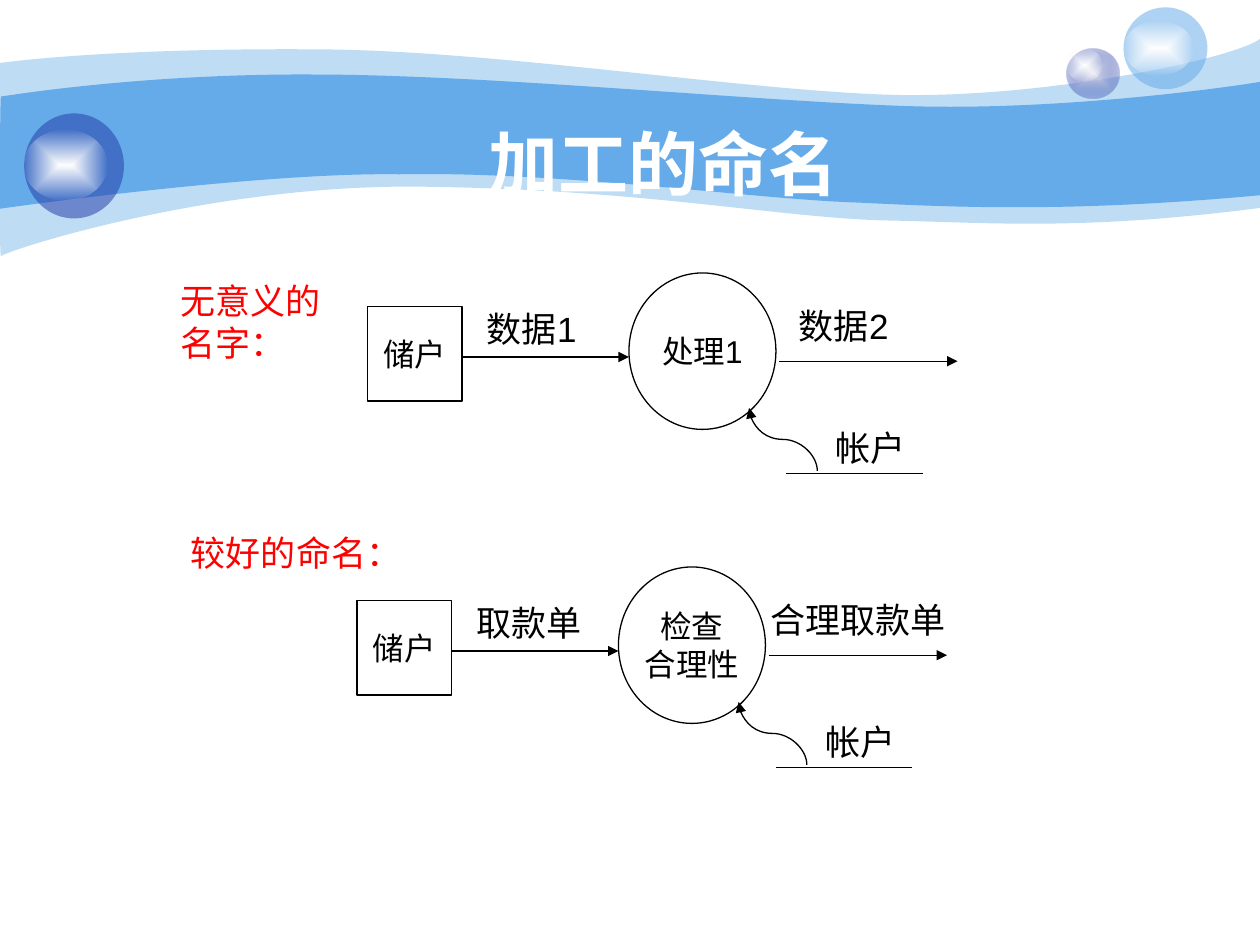
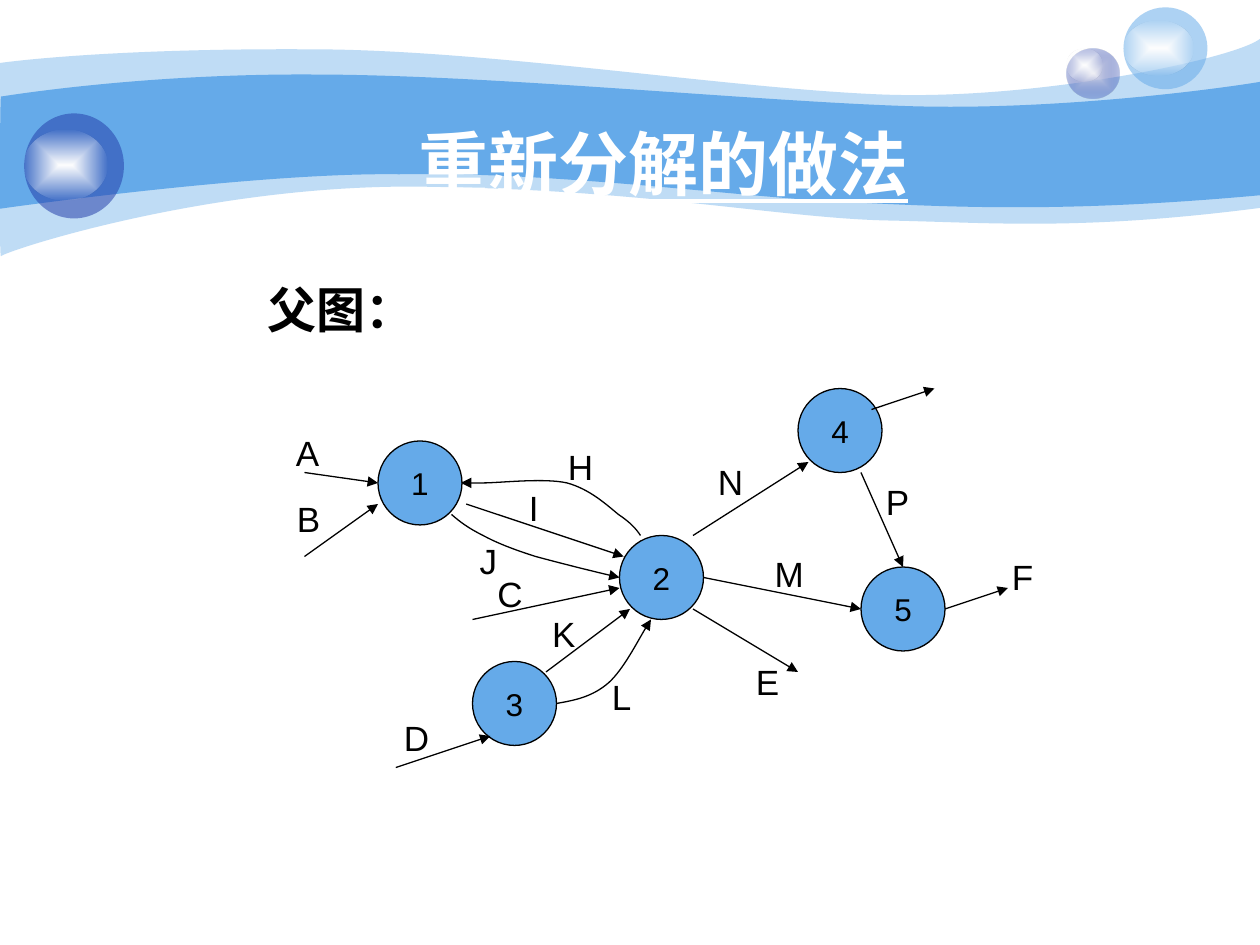
from dataclasses import dataclass

from lxml import etree
from pptx import Presentation
from pptx import util as u
from pptx.dml.color import RGBColor
from pptx.enum import shapes, text
from pptx.oxml import parse_xml
from pptx.oxml.ns import nsdecls, qn


@dataclass(frozen=True)
class Theme:
    """Colours, fonts and type sizes of both slides."""
    sky: str = "65AAE9"
    navy: str = "233DA9"
    mist: str = "E1E2ED"
    white: str = "FFFFFF"
    ink: str = "000000"
    alert: str = "FF0000"
    latin: str = "Arial"
    narrow: str = "Arial Narrow"
    cjk: str = "Noto Sans CJK SC"
    title: int = 40
    heading: int = 28
    label: int = 20
    node: int = 18
    stroke: float = 0.75


THEME = Theme()
COLUMNS, ROWS = 120, 90
SHAPE = shapes.MSO_SHAPE
CENTER = text.PP_ALIGN.CENTER

OUTER_BAND = [
    (0, 6),
    [(2.9, 5.6), (12.8, 4.6), (29.6, 4.7)],
    [(46.3, 4.7), (69, 8.4), (83.9, 9)],
    [(98.6, 9.6), (117.6, 5.6), (120, 3.7)],
    [(120, 19.8)],
    [(103, 22), (94.4, 21.2), (84.6, 21)],
    [(74.6, 20.8), (61.8, 18.1), (41.2, 17.8)],
    [(20.6, 17.3), (0.5, 23.9), (0.1, 24.4)],
    [(-0.1, 25), (0, 9), (0, 6)],
]
INNER_BAND = [
    (0.1, 9.2),
    [(0.2, 9.2), (13.2, 7), (29.8, 7.1)],
    [(46.3, 7.1), (71.4, 9.6), (86.2, 10.1)],
    [(100.9, 10.6), (117.1, 8.3), (120, 7.8)],
    [(120, 18.6)],
    [(102.4, 20.2), (91.8, 19.8), (81.8, 19.3)],
    [(71.9, 19), (53.6, 16.3), (38, 16.6)],
    [(24.4, 16.4), (-0.2, 19.9), (-0.1, 19.9)],
    [(0, 19.9), (0, 9.2), (0.1, 9.2)],
]
PROCESSES = {"1": (36, 42), "2": (59, 51), "3": (45, 63), "5": (82, 54), "4": (76, 37)}
STRAIGHT_FLOWS = [
    ((29, 45), (36, 46)), ((29, 53), (36, 48)), ((37.7, 73.1), (46.7, 70.1)),
    ((45, 59), (59, 56)), ((52, 64), (60, 58)), ((44.4, 48), (59.4, 53)),
    ((66, 51), (77, 44)), ((67, 55), (82, 58)), ((66, 58), (76, 64)),
    ((90, 58), (96, 56)), ((83, 39), (89, 37)), ((82, 45), (86, 54)),
]
CURVED_FLOWS = [
    [(61, 51), [(60.6, 50.4), (60.1, 49.8), (58.9, 49)],
     [(57.8, 48.1), (56.2, 46.6), (54, 46)],
     [(51.8, 45.5), (47.6, 46), (46, 46)],
     [(44.3, 46), (44.3, 46), (43.9, 46)]],
    [(43, 49), [(43.8, 49.7), (44.6, 50.3), (46, 51)],
     [(47.3, 51.7), (48.8, 52.3), (51, 53)],
     [(53.2, 53.6), (57.6, 54.7), (59, 55)]],
    [(53, 67), [(54.7, 66.7), (56.4, 66.4), (58, 65)],
     [(59.4, 63.7), (61.3, 60), (62, 59)]],
]
FLOW_NAMES = {
    "A": (27, 40.5), "B": (27.1, 46.8), "H": (52.9, 41.8), "J": (44.5, 50.8),
    "I": (49.2, 45.7), "C": (46.2, 53.9), "D": (37.3, 67.6), "K": (51.4, 57.7),
    "L": (57.1, 63.7), "N": (67.2, 43.3), "M": (72.6, 52), "P": (83.2, 45.2),
    "E": (70.8, 62.3), "F": (95.2, 52.3),
}


def cells(*counts):
    """Turn counts of grid cells into lengths."""
    return [u.Inches(count * 10 / COLUMNS) for count in counts]


def write(shape, lines, size, colour=THEME.ink, align=None, font=THEME.latin,
          bold=False, underline=False, wrap=True, middle=False):
    """Fill a shape with one paragraph per line."""
    frame = shape.text_frame
    frame.word_wrap = wrap
    frame.vertical_anchor = text.MSO_ANCHOR.MIDDLE if middle else text.MSO_ANCHOR.TOP
    for index, line in enumerate(lines):
        paragraph = frame.add_paragraph() if index else frame.paragraphs[0]
        paragraph.alignment = align
        run = paragraph.add_run()
        run.text = line
        run.font.size = u.Pt(size)
        run.font.name = font
        run.font.bold = bold
        run.font.underline = underline
        run.font.color.rgb = RGBColor.from_string(colour)
        etree.SubElement(run.font._element, qn("a:ea"), typeface=THEME.cjk)


def label(slide, box, words, size=THEME.label, **style):
    """Add a text box on the grid."""
    write(slide.shapes.add_textbox(*cells(*box)), [words], size, **style)


def paint(shape, colour, opacity=100):
    """Give a shape a flat fill without outline or shadow."""
    shape.shadow.inherit = False
    shape.line.fill.background()
    shape.fill.solid()
    shape.fill.fore_color.rgb = RGBColor.from_string(colour)
    if opacity < 100:
        tint = shape._element.spPr.find(qn("a:solidFill"))[0]
        etree.SubElement(tint, qn("a:alpha"), val=str(opacity * 1000))


def glow(shape, inner, outer, opacity):
    """Give a shape a fill that fades from its centre to its edge."""
    paint(shape, inner)
    flat = shape._element.spPr.find(qn("a:solidFill"))
    flat.getparent().replace(flat, parse_xml(
        f'<a:gradFill {nsdecls("a")} rotWithShape="1"><a:gsLst>'
        f'<a:gs pos="0"><a:srgbClr val="{inner}"/></a:gs>'
        f'<a:gs pos="100000"><a:srgbClr val="{outer}">'
        f'<a:alpha val="{opacity * 1000}"/></a:srgbClr></a:gs></a:gsLst>'
        '<a:path path="shape"><a:fillToRect l="50000" t="50000" r="50000" b="50000"/>'
        '</a:path></a:gradFill>'))


def stroke(shape, arrow=False):
    """Draw the thin dark line, with an arrowhead at its end if asked."""
    shape.line.width = u.Pt(THEME.stroke)
    shape.line.color.rgb = RGBColor.from_string(THEME.ink)
    if arrow:
        outline = shape._element.spPr.find(qn("a:ln"))
        etree.SubElement(outline, qn("a:tailEnd"), type="triangle")


def oval(slide, box):
    """Add an ellipse on the grid."""
    return slide.shapes.add_shape(SHAPE.OVAL, *cells(*box))


def outline(slide, start, *segments, close=False):
    """Build a freeform from straight and cubic segments."""
    builder = slide.shapes.build_freeform(*cells(*start))
    builder.add_line_segments(
        [cells(*point) for segment in segments for point in segment], close=close)
    form = builder.convert_to_shape()
    steps = iter(list(form._element.iter(qn("a:lnTo"))))
    for segment in segments:
        group = [next(steps) for _ in segment]
        if len(group) == 3:
            bend = etree.Element(qn("a:cubicBezTo"))
            group[0].addprevious(bend)
            for step in group:
                bend.append(step[0])
                step.getparent().remove(step)
    form.shadow.inherit = False
    return form


def flow(slide, start, end, arrow=True, kind=shapes.MSO_CONNECTOR.STRAIGHT):
    """Connect two grid points."""
    link = slide.shapes.add_connector(kind, *cells(*start, *end))
    stroke(link, arrow)
    etree.SubElement(link._element.spPr, qn("a:effectLst"))
    return link


def node(slide, kind, box, lines, colour):
    """Add an outlined node with centred text."""
    shape = slide.shapes.add_shape(kind, *cells(*box))
    paint(shape, colour)
    stroke(shape)
    write(shape, lines, THEME.node, align=CENTER, wrap=False, middle=True)


def backdrop(slide, title, **style):
    """Draw the waves, the bubbles and the title."""
    paint(outline(slide, *OUTER_BAND, close=True), THEME.sky, 41)
    paint(outline(slide, *INNER_BAND, close=True), THEME.sky)
    glow(oval(slide, (101.6, 4.6, 5, 4.8)), THEME.mist, THEME.navy, 31)
    glow(oval(slide, (101.6, 4.6, 3.4, 3.2)), THEME.white, THEME.white, 0)
    for bubble, shine, colour in (
            ((107, 0.7, 8, 7.8), (107, 2, 6.7, 5.2), THEME.sky),
            ((2.3, 10.8, 9.5, 10), (2.3, 12.4, 7.9, 6.7), THEME.navy)):
        paint(oval(slide, bubble), colour, 53)
        glow(oval(slide, shine), THEME.white, THEME.white, 0)
    name = slide.shapes.add_textbox(*cells(15.8, 8, 94.8, 15))
    write(name, [title], THEME.title, THEME.white, CENTER, bold=True, middle=True, **style)


def naming_diagram(slide, left, top, received, process, produced, indent=0):
    """Draw a depositor, a process, its data flows and the account store."""
    def at(column, row, *size):
        return (left + column, top + row, *size)

    node(slide, SHAPE.FLOWCHART_PROCESS, at(0, 0, 9, 9), ["储户"], THEME.white)
    node(slide, SHAPE.FLOWCHART_CONNECTOR, at(24.9, -3.2, 14, 14.9), process, THEME.white)
    flow(slide, at(39.9, 15.9), at(52.9, 15.9), arrow=False)
    label(slide, at(43.4, 10.8, 11.6, 5.2), "帐户")
    flow(slide, at(9, 4.8), at(24.9, 4.8))
    flow(slide, at(39.2, 5.2), at(56.2, 5.2))
    label(slide, at(10.2, -0.5, 13.2, 5.2), received)
    label(slide, at(38.2 + indent, -0.8, 20.8, 5.2), produced)
    lookup = flow(slide, at(42.6, 9.4), at(36.6, 15.9), kind=shapes.MSO_CONNECTOR.CURVE)
    lookup._element.spPr.find(qn("a:xfrm")).set("rot", "5400000")


def naming_slide(slide):
    """Compare meaningless names with better ones."""
    backdrop(slide, "加工的命名", font=THEME.cjk)
    naming_diagram(slide, 35, 29.2, "数据1", ["处理1"], "数据2", indent=1.7)
    naming_diagram(slide, 34, 57.2, "取款单", ["检查", "合理性"], "合理取款单")
    label(slide, (16, 26, 18, 9.2), "无意义的名字：", colour=THEME.alert)
    label(slide, (17, 50, 23.2, 5.2), "较好的命名：", colour=THEME.alert)


def parent_slide(slide):
    """Draw the parent data flow diagram."""
    backdrop(slide, "重新分解的做法", underline=True)
    for number, corner in PROCESSES.items():
        node(slide, SHAPE.FLOWCHART_CONNECTOR, (*corner, 8, 8), [number], THEME.sky)
    for start, end in STRAIGHT_FLOWS:
        flow(slide, start, end)
    for route in CURVED_FLOWS:
        bend = outline(slide, *route)
        bend.fill.background()
        stroke(bend, arrow=True)
    for name, corner in FLOW_NAMES.items():
        label(slide, (*corner, 5, 5.2), name)
    label(slide, (23, 26, 19, 6.8), "父图：", THEME.heading, align=CENTER,
          font=THEME.narrow, bold=True)


def main():
    """Build and save both slides."""
    deck = Presentation()
    deck.slide_width, deck.slide_height = cells(COLUMNS, ROWS)
    for draw in (naming_slide, parent_slide):
        draw(deck.slides.add_slide(deck.slide_layouts[6]))
    deck.save("out.pptx")


if __name__ == "__main__":
    main()
